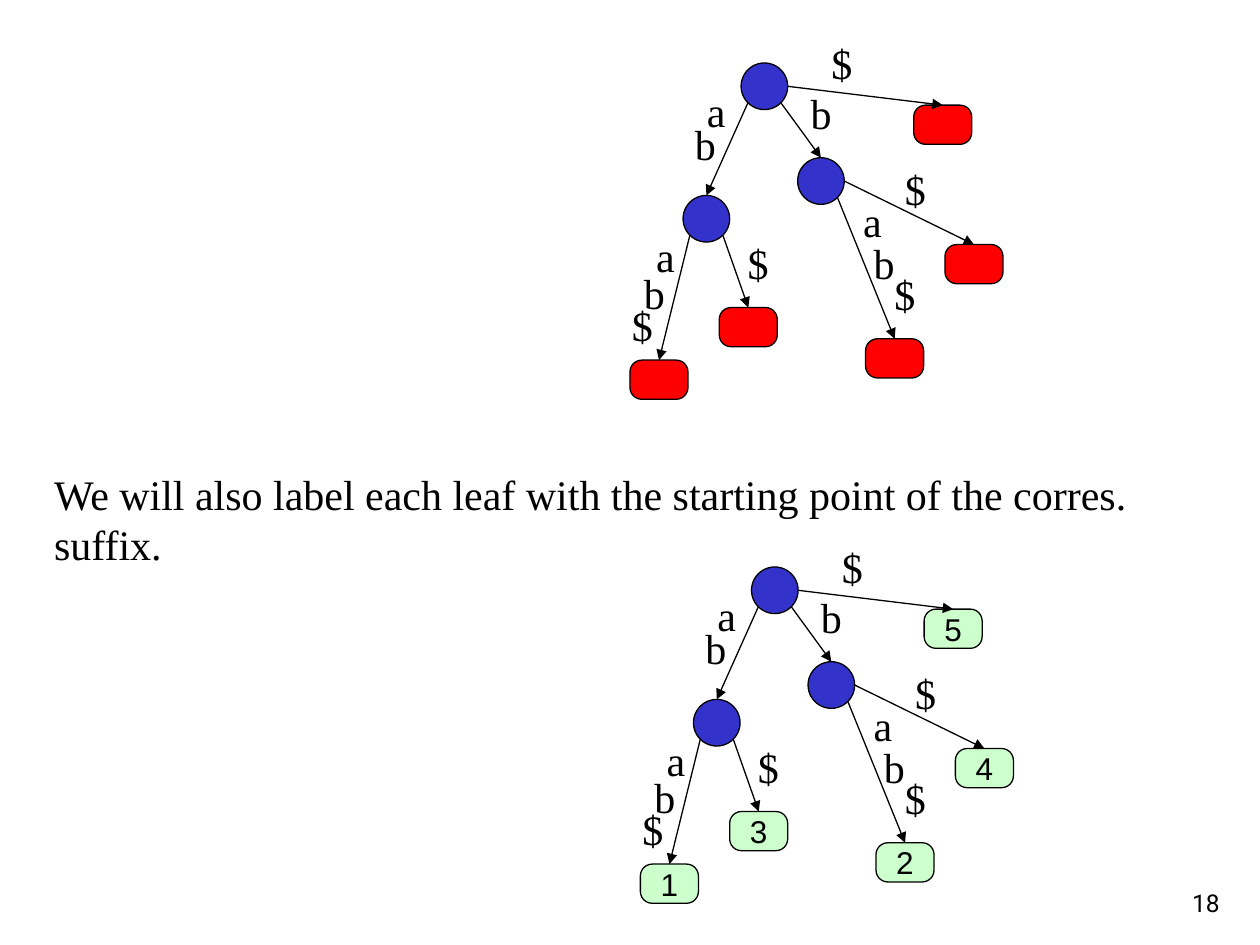
from math import cos, radians, sin
from typing import NamedTuple

from lxml import etree
from pptx import Presentation
from pptx.dml.color import RGBColor
from pptx.enum.shapes import MSO_CONNECTOR, MSO_SHAPE
from pptx.enum.text import MSO_ANCHOR, PP_ALIGN
from pptx.oxml.ns import qn
from pptx.slide import Slide
from pptx.util import Cm, Pt

ELLIPSE, ROUNDED = MSO_SHAPE.OVAL, MSO_SHAPE.ROUNDED_RECTANGLE
STRAIGHT = MSO_CONNECTOR.STRAIGHT
TOP, MIDDLE, BOTTOM = MSO_ANCHOR.TOP, MSO_ANCHOR.MIDDLE, MSO_ANCHOR.BOTTOM
LEFT, CENTER, RIGHT = PP_ALIGN.LEFT, PP_ALIGN.CENTER, PP_ALIGN.RIGHT

BLACK = RGBColor(0x00, 0x00, 0x00)
BLUE = RGBColor(0x33, 0x33, 0xCC)
RED = RGBColor(0xFF, 0x00, 0x00)
PALE_GREEN = RGBColor(0xCC, 0xFF, 0xCC)

# All lengths are in centimetres
NODE_SIZE = 0.94
LEAF_WIDTH, LEAF_HEIGHT = 1.17, 0.79
LABEL_WIDTH, LABEL_HEIGHT = 1.07, 1.27

# Directions in which an edge leaves a node, in degrees clockwise from the right
EAST, SOUTH_EAST, SOUTH_WEST = 0, 45, 135


class Point(NamedTuple):
    x: float
    y: float

    def shifted(self, offset: "Point") -> "Point":
        return Point(self.x + offset.x, self.y + offset.y)


class Letter(NamedTuple):
    text: str
    position: Point


class Edge(NamedTuple):
    parent: str
    child: str
    direction: int
    letters: list[Letter]


class Tree(NamedTuple):
    offset: Point
    leaf_color: RGBColor
    numbered: bool


NODES = {
    "root": Point(14.94, 1.27),
    "ab": Point(13.77, 3.94),
    "b": Point(16.08, 3.18),
}
# Each leaf is named after the starting point of its suffix
LEAVES = {
    "1": Point(12.7, 7.26),
    "2": Point(17.45, 6.83),
    "3": Point(14.5, 6.2),
    "4": Point(19.05, 4.93),
    "5": Point(18.42, 2.12),
}
EDGES = [
    Edge("root", "ab", SOUTH_WEST,
         [Letter("a", Point(14, 1.6)), Letter("b", Point(13.76, 2.26))]),
    Edge("root", "b", SOUTH_EAST, [Letter("b", Point(16.09, 1.63))]),
    Edge("root", "5", EAST, [Letter("$", Point(16.51, 0.64))]),
    Edge("ab", "1", SOUTH_WEST,
         [Letter("a", Point(12.98, 4.52)), Letter("b", Point(12.73, 5.26)),
          Letter("$", Point(12.49, 5.92))]),
    Edge("ab", "3", SOUTH_EAST, [Letter("$", Point(14.82, 4.66))]),
    Edge("b", "2", SOUTH_EAST,
         [Letter("a", Point(17.15, 3.81)), Letter("b", Point(17.36, 4.66)),
          Letter("$", Point(17.78, 5.29))]),
    Edge("b", "4", EAST, [Letter("$", Point(17.99, 3.18))]),
]
TREES = [
    Tree(Point(0, 0), RED, numbered=False),
    Tree(Point(0.21, 10.16), PALE_GREEN, numbered=True),
]


def write(shape, text: str, font_name: str, size: int, align=LEFT, anchor=TOP, wrap=True) -> None:
    frame = shape.text_frame
    frame.word_wrap = wrap
    frame.vertical_anchor = anchor
    frame.text = text
    paragraph = frame.paragraphs[0]
    paragraph.alignment = align
    font = paragraph.runs[0].font
    font.name, font.size = font_name, Pt(size)
    font.color.rgb = BLACK


def add_text(slide: Slide, position: Point, width: float, height: float,
             text: str, font_name: str, size: int, align=LEFT, anchor=TOP) -> None:
    box = slide.shapes.add_textbox(Cm(position.x), Cm(position.y), Cm(width), Cm(height))
    write(box, text, font_name, size, align, anchor)


def add_vertex(slide: Slide, kind, position: Point, width: float, height: float, color: RGBColor):
    shape = slide.shapes.add_shape(kind, Cm(position.x), Cm(position.y), Cm(width), Cm(height))
    shape.shadow.inherit = False
    shape.fill.solid()
    shape.fill.fore_color.rgb = color
    shape.line.color.rgb = BLACK
    shape.line.width = Pt(0.75)
    return shape


def add_arrow(slide: Slide, start: Point, end: Point) -> None:
    arrow = slide.shapes.add_connector(STRAIGHT, Cm(start.x), Cm(start.y), Cm(end.x), Cm(end.y))
    arrow.line.color.rgb = BLACK
    arrow.line.width = Pt(0.75)
    etree.SubElement(arrow.line._get_or_add_ln(), qn("a:tailEnd"), type="triangle")
    etree.SubElement(arrow._element.spPr, qn("a:effectLst"))


def add_edge(slide: Slide, edge: Edge, offset: Point) -> None:
    radius, angle = NODE_SIZE / 2, radians(edge.direction)
    start = NODES[edge.parent].shifted(
        Point(radius * (1 + cos(angle)), radius * (1 + sin(angle))))
    if edge.child in NODES:
        end = NODES[edge.child].shifted(Point(radius, 0))
    else:
        end = LEAVES[edge.child].shifted(Point(LEAF_WIDTH / 2, 0))
    add_arrow(slide, start.shifted(offset), end.shifted(offset))
    for letter in edge.letters:
        add_text(slide, letter.position.shifted(offset), LABEL_WIDTH, LABEL_HEIGHT,
                 letter.text, "Times New Roman", 24)


def add_tree(slide: Slide, tree: Tree) -> None:
    for position in NODES.values():
        add_vertex(slide, ELLIPSE, position.shifted(tree.offset), NODE_SIZE, NODE_SIZE, BLUE)
    for number, position in LEAVES.items():
        leaf = add_vertex(slide, ROUNDED, position.shifted(tree.offset),
                          LEAF_WIDTH, LEAF_HEIGHT, tree.leaf_color)
        leaf.adjustments[0] = 0.3
        if tree.numbered:
            write(leaf, number, "Arial", 18, CENTER, MIDDLE, wrap=False)
    for edge in EDGES:
        add_edge(slide, edge, tree.offset)


def main() -> None:
    presentation = Presentation()
    presentation.slide_width, presentation.slide_height = Cm(25.4), Cm(19.05)
    slide = presentation.slides.add_slide(presentation.slide_layouts[6])

    # Explanation between the two trees
    add_text(slide, Point(0.84, 9.32), 23.93, 2.29,
             "We will also label each leaf with the starting point of the corres. suffix.",
             "Times New Roman", 24)

    # Suffix tree before and after its leaves are numbered
    for tree in TREES:
        add_tree(slide, tree)

    # Slide number
    add_text(slide, Point(19.56, 17.35), 5.28, 1.27, "18", "Roboto", 14, RIGHT, BOTTOM)

    presentation.save("out.pptx")


if __name__ == "__main__":
    main()
